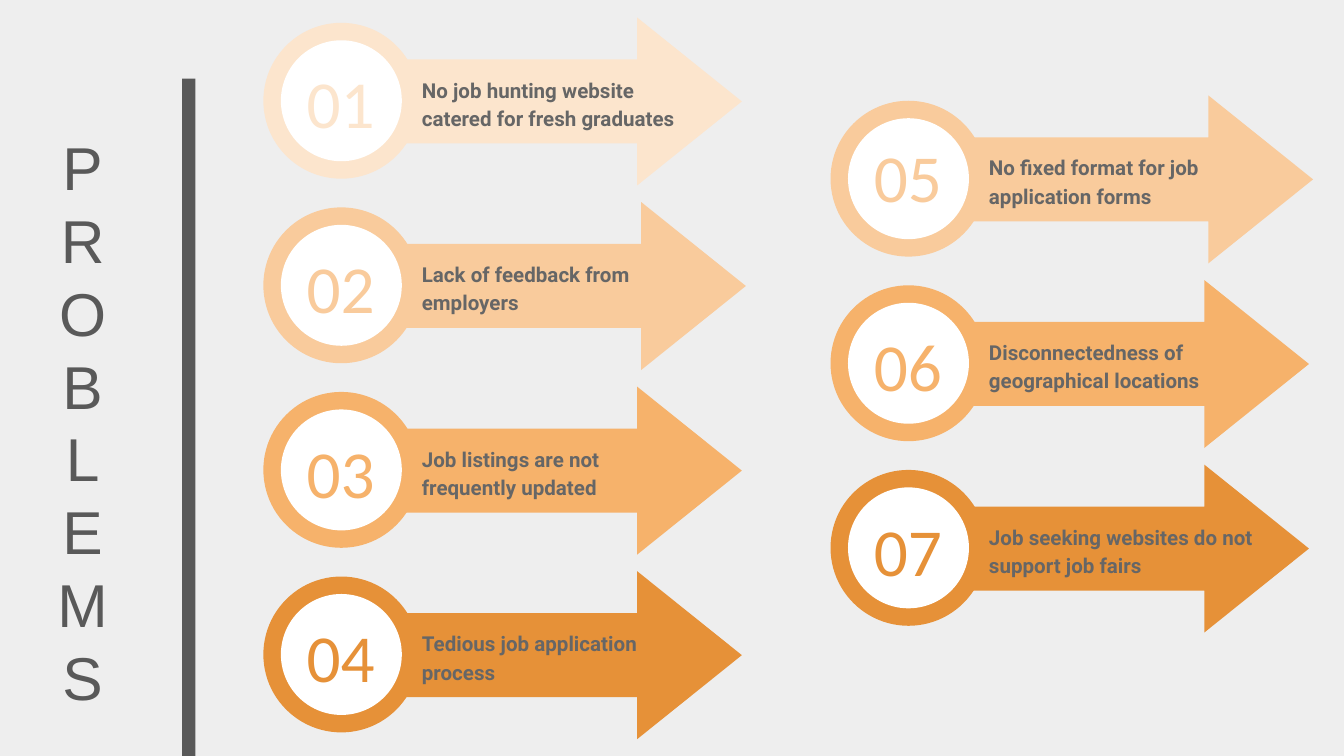
from dataclasses import dataclass

from pptx import Presentation
from pptx.dml.color import RGBColor
from pptx.enum.shapes import MSO_SHAPE
from pptx.enum.text import MSO_ANCHOR, MSO_AUTO_SIZE, PP_ALIGN
from pptx.util import Inches, Pt


@dataclass(frozen=True)
class Theme:
    background: str = "EEEEEE"
    dark: str = "595959"
    body: str = "666666"
    white: str = "FFFFFF"
    oranges: tuple = ("FCE5CD", "F9CB9C", "F6B26B", "E69138")
    title_font: str = "Arial"
    number_font: str = "Calibri"
    body_font: str = "Roboto"
    title_size: float = 32.4
    number_size: float = 36
    body_size: float = 11


THEME = Theme()
ROW_PITCH = 4.12 / 3  # four rows span the left column

# Column: left, top, problems; problem: text, shade index, arrow shift, number shift
COLUMNS = [
    (1.96, 0.13, [
        ("No job hunting website catered for fresh graduates", 0, 0, 0),
        ("Lack of feedback from employers", 1, 0.03, 0),
        ("Job listings are not frequently updated", 2, 0, 0),
        ("Tedious job application process", 3, 0, 0),
    ]),
    (6.18, 0.71, [
        ("No fixed format for job application forms", 1, 0.03, -0.03),
        ("Disconnectedness of geographical locations", 2, 0, 0),
        ("Job seeking websites do not support job fairs", 3, 0, 0),
    ]),
]


def style_font(p, name, size, color, bold=False):
    p.font.name = name
    p.font.size = Pt(size)
    p.font.bold = bold
    p.font.color.rgb = RGBColor.from_string(color)


def set_frame(tf, anchor):
    tf.word_wrap = True
    tf.auto_size = MSO_AUTO_SIZE.NONE
    tf.vertical_anchor = anchor
    tf.margin_left = tf.margin_right = Inches(0.1)
    tf.margin_top = tf.margin_bottom = Inches(0.1)


def add_filled(shapes, kind, left, top, width, height, color):
    sp = shapes.add_shape(kind, Inches(left), Inches(top), Inches(width), Inches(height))
    sp.shadow.inherit = False
    sp.fill.solid()
    sp.fill.fore_color.rgb = RGBColor.from_string(color)
    sp.line.fill.background()
    return sp


def add_text(s, text, left, top, width, height, anchor):
    """Add a text box and return its only paragraph."""
    box = s.shapes.add_textbox(Inches(left), Inches(top), Inches(width), Inches(height))
    set_frame(box.text_frame, anchor)
    p = box.text_frame.paragraphs[0]
    p.text = text
    return p


def add_title(s, text):
    """Stack the letters of the title, one to a paragraph."""
    title = s.shapes.title
    title.left, title.top = Inches(-0.29), Inches(0.83)
    title.width, title.height = Inches(1.81), Inches(4.61)
    tf = title.text_frame
    set_frame(tf, MSO_ANCHOR.MIDDLE)
    tf.text = "\n".join(text)
    for p in tf.paragraphs:
        p.alignment = PP_ALIGN.CENTER
        p.line_spacing = Pt(39)
        p.space_before = Pt(0)
        style_font(p, THEME.title_font, THEME.title_size, THEME.dark)


def add_divider(s):
    bar = add_filled(s.shapes, MSO_SHAPE.RECTANGLE, -1.12, 3.06, 5.05, 0.1, THEME.dark)
    bar.rotation = 270


def add_badge_arrow(s, left, top, color, arrow_shift):
    """Add an arrow that starts from a ringed white disc."""
    shapes = s.shapes.add_group_shape().shapes
    arrow = add_filled(shapes, MSO_SHAPE.RIGHT_ARROW,
                       left + 0.73 + arrow_shift, top, 2.83, 1.25, color)
    arrow.adjustments[0] = 0.5
    arrow.adjustments[1] = 0.623
    add_filled(shapes, MSO_SHAPE.OVAL, left, top + 0.04, 1.16, 1.16, color)
    add_filled(shapes, MSO_SHAPE.OVAL, left + 0.13, top + 0.17, 0.9, 0.9, THEME.white)


def add_problem(s, number, left, top, text, shade, arrow_shift, number_shift):
    color = THEME.oranges[shade]
    add_badge_arrow(s, left, top, color, arrow_shift)

    p = add_text(s, f"{number:02}", left + 0.13, top + 0.23 + number_shift,
                 0.89, 0.8, MSO_ANCHOR.BOTTOM)
    p.alignment = PP_ALIGN.CENTER
    style_font(p, THEME.number_font, THEME.number_size, color)

    p = add_text(s, text, left + 1.08, top + 0.32, 2.19, 0.6, MSO_ANCHOR.TOP)
    p.line_spacing = 1.15
    p.space_after = Pt(16)
    style_font(p, THEME.body_font, THEME.body_size, THEME.body, bold=True)


def main():
    prs = Presentation()
    prs.slide_width = Inches(10)
    prs.slide_height = prs.slide_width * 9 // 16
    s = prs.slides.add_slide(prs.slide_layouts[5])
    s.background.fill.solid()
    s.background.fill.fore_color.rgb = RGBColor.from_string(THEME.background)

    add_title(s, "PROBLEMS")
    add_divider(s)
    number = 0
    for left, first_top, problems in COLUMNS:
        for row, problem in enumerate(problems):
            number += 1
            add_problem(s, number, left, first_top + row * ROW_PITCH, *problem)

    prs.save("out.pptx")


if __name__ == "__main__":
    main()
